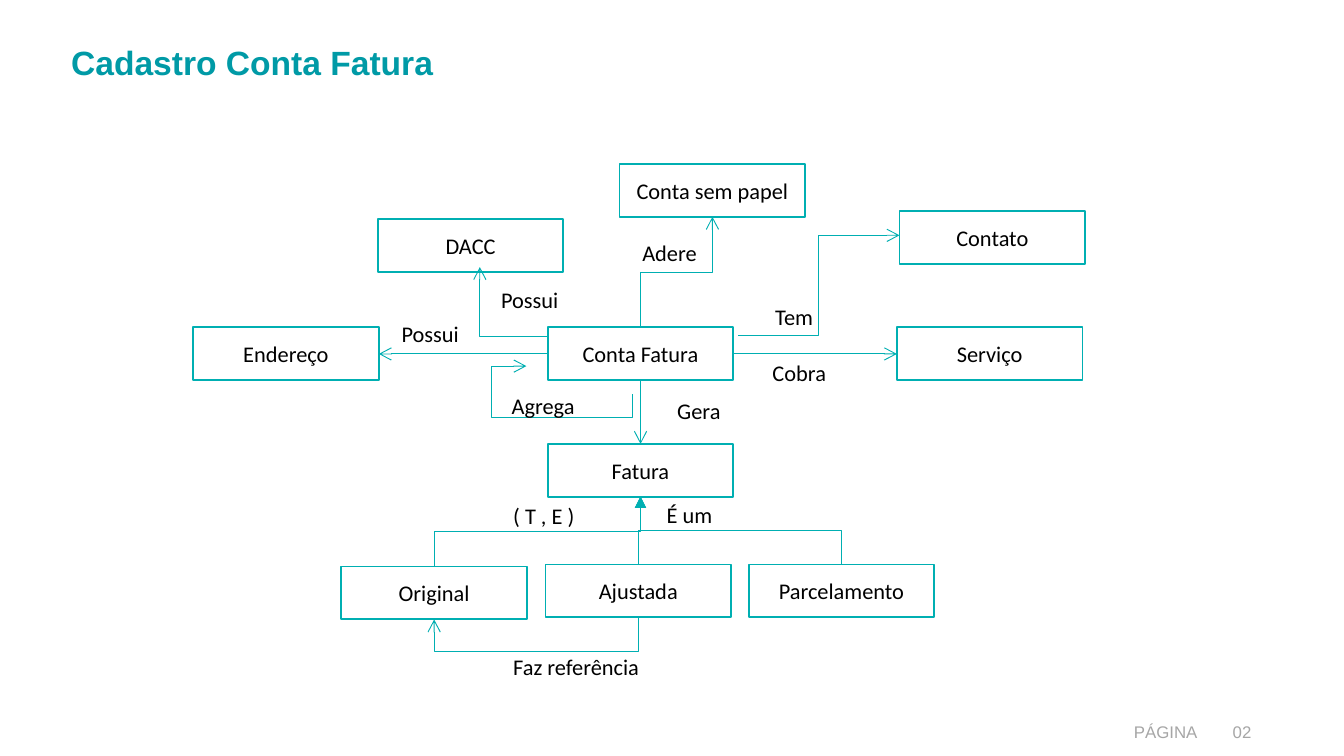
"""Builds the entity diagram of the invoice account register."""
from dataclasses import dataclass
from typing import NamedTuple

from lxml.etree import SubElement
from pptx import Presentation
from pptx.dml.color import RGBColor
from pptx.enum.shapes import MSO_CONNECTOR, MSO_SHAPE
from pptx.enum.text import MSO_ANCHOR, MSO_AUTO_SIZE, PP_ALIGN
from pptx.oxml.ns import qn
from pptx.util import Cm, Pt


@dataclass(frozen=True)
class Theme:
    title: RGBColor = RGBColor(0x00, 0x9A, 0xA6)
    stroke: RGBColor = RGBColor(0x00, 0xAF, 0xB2)
    fill: RGBColor = RGBColor(0xFF, 0xFF, 0xFF)
    ink: RGBColor = RGBColor(0x00, 0x00, 0x00)
    muted: RGBColor = RGBColor(0xA6, 0xA6, 0xA6)
    heading_font: str = "Arial"
    body_font: str = "Calibri"
    title_size: float = 18
    body_size: float = 12
    footer_size: float = 9
    border: float = 1
    link: float = 0.5


THEME = Theme()


class Point(NamedTuple):
    x: float
    y: float


@dataclass(frozen=True)
class Entity:
    name: str
    x: float
    y: float
    width: float = 3.51
    height: float = 1.0

    @property
    def top(self) -> Point:
        return Point(self.x + self.width / 2, self.y)

    @property
    def bottom(self) -> Point:
        return Point(self.x + self.width / 2, self.y + self.height)

    @property
    def left(self) -> Point:
        return Point(self.x, self.y + self.height / 2)

    @property
    def right(self) -> Point:
        return Point(self.x + self.width, self.y + self.height / 2)


@dataclass(frozen=True)
class Link:
    start: Point
    end: Point
    preset: str = "line"
    upright: bool = False
    bends: tuple[float, ...] = ()
    head: str = "arrow"


class Label(NamedTuple):
    text: str
    x: float
    y: float
    width: float


MIDDLE_ROW, CHILD_ROW = 6.19, 10.67
ACCOUNT = Entity("Conta Fatura", 10.35, MIDDLE_ROW)
ADDRESS = Entity("Endereço", 3.65, MIDDLE_ROW)
SERVICE = Entity("Serviço", 16.95, MIDDLE_ROW)
DIRECT_DEBIT = Entity("DACC", 7.14, 4.14)
PAPERLESS = Entity("Conta sem papel", 11.71, 3.1)
CONTACT = Entity("Contato", 17, 3.99)
INVOICE = Entity("Fatura", 10.35, 8.39)
ORIGINAL = Entity("Original", 6.45, 10.71)
ADJUSTED = Entity("Ajustada", 10.31, CHILD_ROW)
INSTALMENT = Entity("Parcelamento", 14.15, CHILD_ROW)
CHILDREN = (ORIGINAL, ADJUSTED, INSTALMENT)
ENTITIES = (ACCOUNT, ADDRESS, SERVICE, DIRECT_DEBIT, PAPERLESS, CONTACT, INVOICE, *CHILDREN)

ELBOW = "bentConnector3"
LINKS = (
    Link(ACCOUNT.left, ADDRESS.right),
    Link(ACCOUNT.right, SERVICE.left),
    Link(ACCOUNT.bottom, INVOICE.top),
    Link(ACCOUNT.top, PAPERLESS.bottom, ELBOW, True, (0.5,)),
    Link(Point(10.35, 6.37), Point(9.07, 5.05), "bentConnector2"),
    Link(Point(13.95, 6.35), Point(17, 4.45), ELBOW, False, (0.5,)),
    Link(Point(11.95, 7.45), Point(9.95, 6.92), "bentConnector4", True, (-0.84, 1.33)),
    Link(ADJUSTED.bottom, ORIGINAL.bottom, ELBOW, True, (16,)),
    *(Link(child.top, INVOICE.bottom, ELBOW, True, (0.5,), "triangle") for child in CHILDREN),
)

LABELS = (
    Label("( T , E )", 9.45, 9.37, 1.68),
    Label("Faz referência", 9.45, 12.22, 2.92),
    Label("Possui", 9.22, 5.28, 1.63),
    Label("Possui", 7.34, 5.92, 1.63),
    Label("Adere", 11.89, 4.4, 1.55),
    Label("Cobra", 14.35, 6.66, 1.52),
    Label("Tem", 14.4, 5.61, 1.24),
    Label("Agrega", 9.42, 7.29, 1.73),
    Label("Gera", 12.55, 7.39, 1.35),
    Label("É um", 12.35, 9.35, 1.4),
)


def format_text(frame, font: str, size: float, color: RGBColor, align: PP_ALIGN, bold: bool = False) -> None:
    paragraph = frame.paragraphs[0]
    paragraph.alignment = align
    for span in paragraph.runs:
        span.font.name, span.font.size, span.font.bold = font, Pt(size), bold
        span.font.color.rgb = color


def draw_entity(page, entity: Entity) -> None:
    box = page.shapes.add_shape(
        MSO_SHAPE.RECTANGLE, Cm(entity.x), Cm(entity.y), Cm(entity.width), Cm(entity.height))
    box.shadow.inherit = False
    box.fill.solid()
    box.fill.fore_color.rgb = THEME.fill
    box.line.color.rgb = THEME.stroke
    box.line.width = Pt(THEME.border)
    box.text_frame.text = entity.name
    box.text_frame.vertical_anchor = MSO_ANCHOR.MIDDLE
    format_text(box.text_frame, THEME.body_font, THEME.body_size, THEME.ink, PP_ALIGN.CENTER)


def draw_link(page, link: Link) -> None:
    across, down = link.end.x - link.start.x, link.end.y - link.start.y
    center = Point(link.start.x + across / 2, link.start.y + down / 2)
    if link.upright:
        across, down = down, -across
    kind = MSO_CONNECTOR.STRAIGHT if link.preset == "line" else MSO_CONNECTOR.ELBOW
    line = page.shapes.add_connector(
        kind, Cm(center.x - across / 2), Cm(center.y - down / 2),
        Cm(center.x + across / 2), Cm(center.y + down / 2))
    line.line.color.rgb = THEME.stroke
    line.line.width = Pt(THEME.link)
    properties = line._element.spPr
    if link.upright:
        properties.find(qn("a:xfrm")).set("rot", str(90 * 60000))
    geometry = properties.find(qn("a:prstGeom"))
    geometry.set("prst", link.preset)
    guides = geometry.find(qn("a:avLst"))
    for number, bend in enumerate(link.bends, 1):
        SubElement(guides, qn("a:gd"), name=f"adj{number}", fmla=f"val {round(bend * 100000)}")
    SubElement(properties.find(qn("a:ln")), qn("a:tailEnd"), type=link.head)
    SubElement(properties, qn("a:effectLst"))


def add_text(page, label: Label, wrap: bool):
    box = page.shapes.add_textbox(Cm(label.x), Cm(label.y), Cm(label.width), Cm(0.76))
    box.text_frame.text = label.text
    box.text_frame.word_wrap = wrap
    return box.text_frame


def draw_title(page, text: str) -> None:
    title = page.shapes.title
    title.left, title.top, title.width, title.height = Cm(1.09), Cm(0.76), Cm(21.41), Cm(2.18)
    frame = title.text_frame
    frame.text = text
    frame.auto_size = MSO_AUTO_SIZE.NONE
    frame.vertical_anchor = MSO_ANCHOR.TOP
    frame.paragraphs[0].line_spacing = 0.9
    format_text(frame, THEME.heading_font, THEME.title_size, THEME.title, PP_ALIGN.LEFT, True)


def main() -> None:
    deck = Presentation()
    deck.slide_width, deck.slide_height = Cm(25.4), Cm(14.29)
    page = deck.slides.add_slide(deck.slide_layouts[5])
    draw_title(page, "Cadastro Conta Fatura")
    for entity in ENTITIES:
        draw_entity(page, entity)
    for link in LINKS:
        draw_link(page, link)
    for label in LABELS:
        frame = add_text(page, label, False)
        frame.auto_size = MSO_AUTO_SIZE.SHAPE_TO_FIT_TEXT
        format_text(frame, THEME.body_font, THEME.body_size, THEME.ink, PP_ALIGN.LEFT)
    for label in (Label("02", 22.5, 13.51, 1.4), Label("PÁGINA", 1.09, 13.51, 21.79)):
        frame = add_text(page, label, True)
        format_text(frame, THEME.heading_font, THEME.footer_size, THEME.muted, PP_ALIGN.RIGHT)
    deck.save("out.pptx")


if __name__ == "__main__":
    main()
